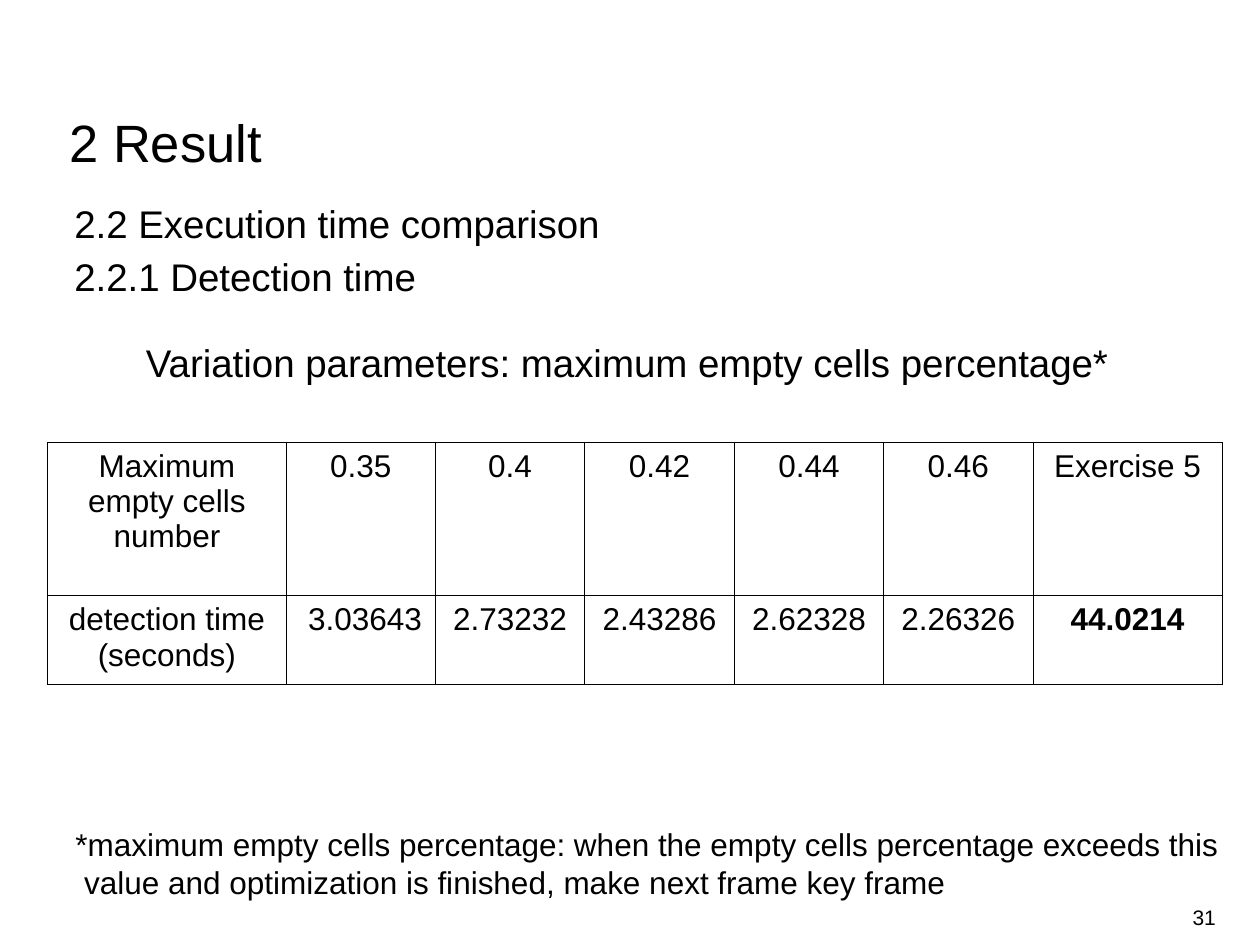
from lxml import etree
from pptx import Presentation
from pptx.dml.color import RGBColor
from pptx.enum.text import MSO_ANCHOR, PP_ALIGN
from pptx.oxml.ns import qn
from pptx.util import Inches, Pt

LEFT, MID, RIGHT = PP_ALIGN.LEFT, PP_ALIGN.CENTER, PP_ALIGN.RIGHT
TOP, CENTRE = MSO_ANCHOR.TOP, MSO_ANCHOR.MIDDLE

# Content
TITLE = ["2 Result"]
HEADS = ["2.2 Execution time comparison", "2.2.1 Detection time"]
LEAD = ["Variation parameters: maximum empty cells percentage*"]
NOTE = [
    "*maximum empty cells percentage: when the empty cells percentage exceeds this",
    " value and optimization is finished, make next frame key frame",
]
PAGE = ["31"]
ROWS = [
    ["Maximum empty cells number", "0.35", "0.4", "0.42", "0.44", "0.46", "Exercise 5"],
    ["detection time\n(seconds)", " 3.03643", "2.73232", "2.43286", "2.62328",
     "2.26326", "44.0214"],
]
BOLD = "44.0214"

# Look
THEME = {
    "font": "Arial", "ink": "000000", "paper": "FFFFFF", "rule": 0.57,
    "title": 30, "head": 22, "text": 18, "page": 12,
}
WIDE, HIGH = 10, 7.5
SPAN, FIRST, LAST = 9.32, 1.89, 1.5
COLS = [FIRST] + [(SPAN - FIRST - LAST) / 5] * 5 + [LAST]
TALL = [1.22, 0.67]
FLAT, PAD, SIDE = (0, 0), (0.1, 0.05), (0, 0.05)


def style(para, size, align=LEFT, bold=False):
    para.alignment = align
    font = para.font
    font.name, font.size, font.bold = THEME["font"], Pt(size), bold
    font.color.rgb = RGBColor.from_string(THEME["ink"])


def add_text(slide, spot, lines, size, pad=PAD, align=LEFT, anchor=TOP, pitch=None):
    box = slide.shapes.add_textbox(*[Inches(n) for n in spot])
    frame = box.text_frame
    frame.word_wrap, frame.vertical_anchor = True, anchor
    frame.margin_left = frame.margin_right = Inches(pad[0])
    frame.margin_top = frame.margin_bottom = Inches(pad[1])
    frame.text = "\n".join(lines)
    for para in frame.paragraphs:
        style(para, size, align)
        if pitch:
            para.line_spacing = pitch


def add_rules(cell):
    props = cell._tc.get_or_add_tcPr()
    for i, side in enumerate(("lnL", "lnR", "lnT", "lnB")):
        line = etree.Element(qn("a:" + side), w=str(Pt(THEME["rule"])))
        fill = etree.SubElement(line, qn("a:solidFill"))
        etree.SubElement(fill, qn("a:srgbClr"), val=THEME["ink"])
        props.insert(i, line)


def add_grid(slide, left, top):
    size = [Inches(n) for n in (left, top, SPAN, sum(TALL))]
    table = slide.shapes.add_table(len(ROWS), len(COLS), *size).table
    table.first_row = table.horz_banding = False
    for col, width in zip(table.columns, COLS):
        col.width = Inches(width)
    for row, height, words in zip(table.rows, TALL, ROWS):
        row.height = Inches(height)
        for cell, word in zip(row.cells, words):
            cell.text = word
            cell.fill.background()
            add_rules(cell)
            for para in cell.text_frame.paragraphs:
                style(para, THEME["text"], MID, word == BOLD)


def main():
    deck = Presentation()
    deck.slide_width, deck.slide_height = Inches(WIDE), Inches(HIGH)
    slide = deck.slides.add_slide(deck.slide_layouts[6])
    back = slide.background.fill
    back.solid()
    back.fore_color.rgb = RGBColor.from_string(THEME["paper"])

    # Section heads and page number
    add_text(slide, (0.59, 1.54, 8.85, 0.9), HEADS, THEME["head"], FLAT, pitch=1.14)
    add_text(slide, (7.41, 7.08, 2.24, 0.4), PAGE, THEME["page"], SIDE, RIGHT, CENTRE)
    add_text(slide, (0.55, 0.93, 6.85, 0.45), TITLE, THEME["title"], FLAT, pitch=Pt(32))

    # Results with lead-in and footnote
    add_grid(slide, 0.38, 3.51)
    add_text(slide, (1.06, 2.64, 7.86, 0.78), LEAD, THEME["head"])
    add_text(slide, (0.5, 6.5, 9.4, 0.66), NOTE, THEME["text"])
    deck.save("out.pptx")


if __name__ == "__main__":
    main()
